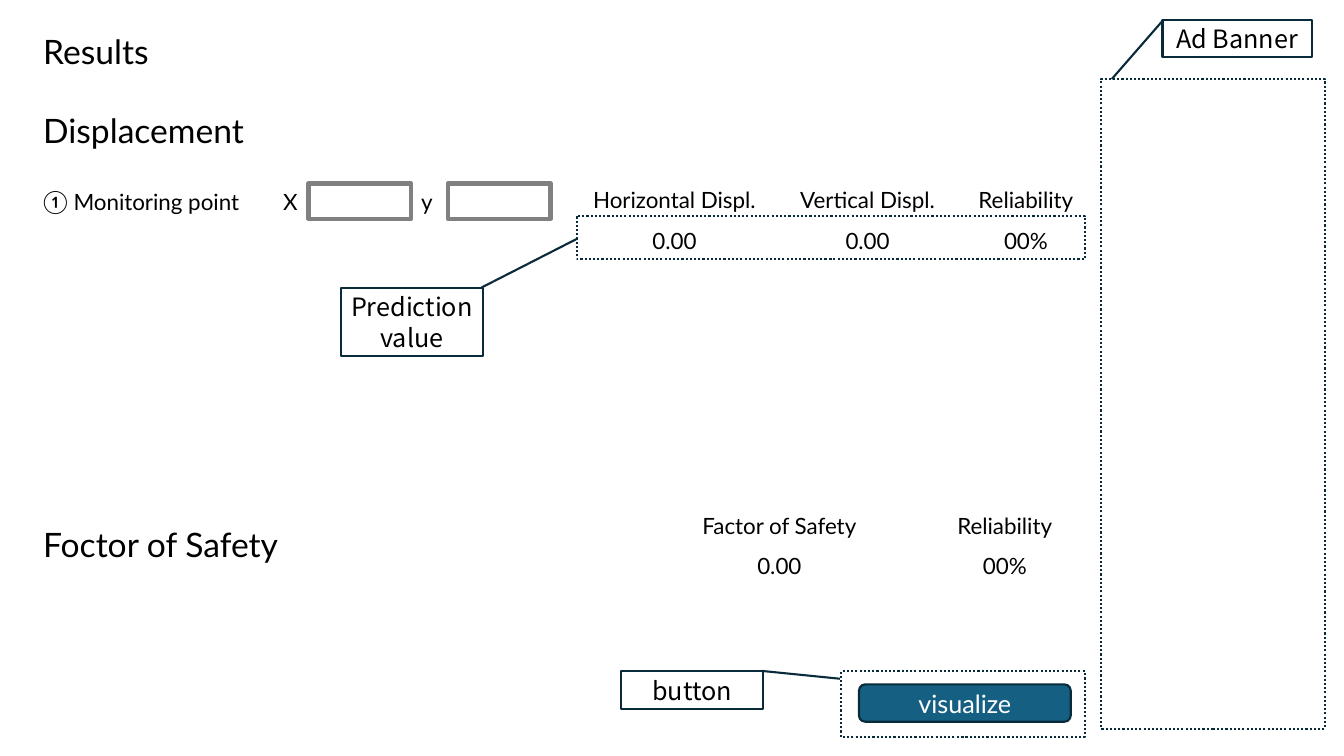
from pptx import Presentation
from pptx.dml.color import RGBColor
from pptx.enum.dml import MSO_LINE
from pptx.enum.shapes import MSO_SHAPE
from pptx.enum.text import MSO_ANCHOR, MSO_AUTO_SIZE, PP_ALIGN
from pptx.util import Inches, Pt

LABEL_FONT = "Lato"
CALLOUT_FONT = "Noto Sans CJK KR"
NAVY, TEAL, GRAY, BLACK, WHITE = "092A39", "156082", "808080", "000000", "FFFFFF"


def color(hex_code):
    """Turn a hex string into a colour."""
    return RGBColor.from_string(hex_code)


def write(shape, text, size, font=LABEL_FONT, ink=BLACK, align=PP_ALIGN.CENTER):
    """Write one run of text into a shape."""
    shape.text_frame.word_wrap = True
    paragraph = shape.text_frame.paragraphs[0]
    paragraph.alignment = align
    run = paragraph.add_run()
    run.text = text
    run.font.size = Pt(size)
    run.font.name = font
    run.font.color.rgb = color(ink)


def add_label(slide, text, left, top, width, size=16, align=PP_ALIGN.CENTER):
    """Add a plain text label."""
    height = 0.5 if size == 24 else 0.37
    label = slide.shapes.add_textbox(
        Inches(left), Inches(top), Inches(width), Inches(height))
    write(label, text, size, align=align)
    label.text_frame.auto_size = MSO_AUTO_SIZE.SHAPE_TO_FIT_TEXT


def add_box(slide, kind, left, top, width, height, line=NAVY, weight=1.5, fill=None):
    """Add an outlined shape, filled only when a fill is given."""
    box = slide.shapes.add_shape(
        kind, Inches(left), Inches(top), Inches(width), Inches(height))
    box.shadow.inherit = False
    box.line.color.rgb = color(line)
    box.line.width = Pt(weight)
    if fill:
        box.fill.solid()
        box.fill.fore_color.rgb = color(fill)
    else:
        box.fill.background()
    box.text_frame.vertical_anchor = MSO_ANCHOR.MIDDLE
    return box


def add_dotted_frame(slide, left, top, width, height):
    """Add a dotted frame around an area of the page."""
    frame = add_box(slide, MSO_SHAPE.RECTANGLE, left, top, width, height)
    frame.line.dash_style = MSO_LINE.ROUND_DOT


def add_callout(slide, text, left, top, width, height, pointer):
    """Add a boxed note whose pointer is given as y, x, y, x fractions."""
    callout = add_box(slide, MSO_SHAPE.LINE_CALLOUT_1, left, top, width, height)
    for index, fraction in enumerate(pointer):
        callout.adjustments[index] = fraction
    write(callout, text, 18, CALLOUT_FONT)


def add_result(slide, heading, value, left, top, width):
    """Add a result heading with its value beneath."""
    add_label(slide, heading, left, top, width)
    add_label(slide, value, left, top + 0.4, width)


def main():
    """Build the results page wireframe."""
    presentation = Presentation()
    presentation.slide_width = Inches(13.33)
    presentation.slide_height = Inches(7.5)
    slide = presentation.slides.add_slide(presentation.slide_layouts[6])

    for title, top in (("Results", 0.26), ("Displacement", 1.04),
                       ("Foctor of Safety", 5.15)):
        add_label(slide, title, 0.33, top, 6.34, 24, PP_ALIGN.JUSTIFY)

    add_label(slide, "① Monitoring point", 0.33, 1.82, 2.87, align=PP_ALIGN.JUSTIFY)
    for axis, label_left, field_left in (("X", 2.71, 3.06), ("y", 4.08, 4.44)):
        add_label(slide, axis, label_left, 1.82, 0.33, align=PP_ALIGN.JUSTIFY)
        add_box(slide, MSO_SHAPE.RECTANGLE, field_left, 1.82, 1.02, 0.35, GRAY, 3)

    for heading, value, left, top, width in (
        ("Horizontal Displ.", "0.00", 5.65, 1.8, 2.08),
        ("Vertical Displ.", "0.00", 7.6, 1.8, 2.01),
        ("Reliability", "00%", 9.33, 1.8, 1.69),
        ("Factor of Safety", "0.00", 6.52, 5.03, 2.42),
        ("Reliability", "00%", 8.94, 5.03, 2.05),
    ):
        add_result(slide, heading, value, left, top, width)

    button = add_box(
        slide, MSO_SHAPE.ROUNDED_RECTANGLE, 8.52, 6.79, 2.1, 0.37, fill=TEAL)
    write(button, "visualize", 18, ink=WHITE)

    add_dotted_frame(slide, 8.34, 6.66, 2.42, 0.65)
    add_dotted_frame(slide, 10.92, 0.78, 2.22, 6.45)
    add_dotted_frame(slide, 5.72, 2.14, 5.04, 0.43)

    add_callout(slide, "button", 6.16, 6.66, 1.41, 0.37, (-0.01, 0.99, 0.2, 1.54))
    add_callout(slide, "Ad Banner", 11.53, 0.2, 1.48, 0.37, (0.02, 0, 1.58, -0.34))
    add_callout(slide, "Prediction value", 3.38, 2.86, 1.41, 0.67,
                (-0.01, 0.99, -0.73, 1.66))

    presentation.save("out.pptx")


if __name__ == "__main__":
    main()
